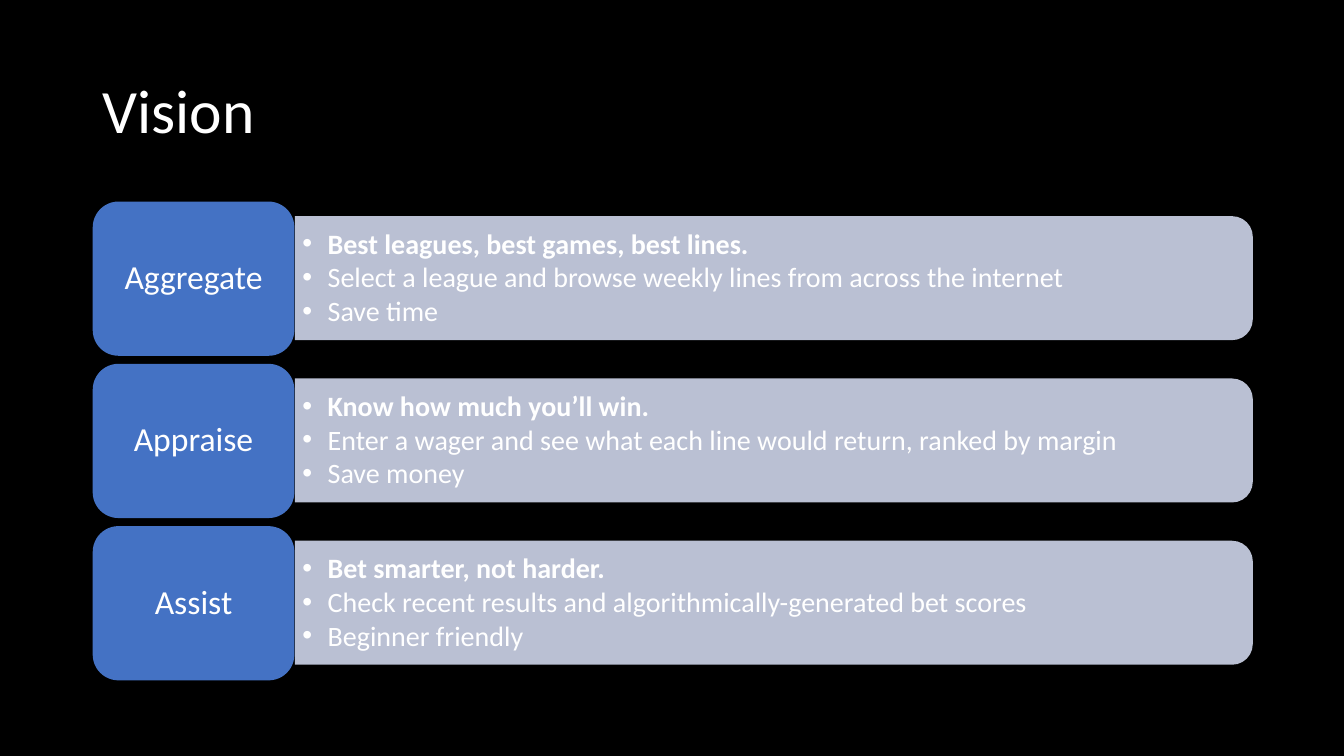
from dataclasses import dataclass

from lxml.etree import SubElement
from pptx import Presentation
from pptx.dml.color import RGBColor
from pptx.enum.shapes import MSO_SHAPE
from pptx.enum.text import MSO_ANCHOR, PP_ALIGN
from pptx.oxml.ns import qn
from pptx.shapes.autoshape import Shape
from pptx.slide import Slide
from pptx.util import Emu, Pt

EMU_PER_PX = 9144  # 100 px to the inch

BLACK = RGBColor(0x00, 0x00, 0x00)
WHITE = RGBColor(0xFF, 0xFF, 0xFF)
BLUE = RGBColor(0x44, 0x72, 0xC4)
PALE_BLUE = RGBColor(0xCF, 0xD5, 0xEA)
FONT = "Calibri"

LEFT = 92
FIRST_TOP, ROW_PITCH = 200, 161
TILE_WIDTH, TILE_HEIGHT = 200, 153
PANEL_LEFT = LEFT + TILE_WIDTH
PANEL_WIDTH, PANEL_HEIGHT = 950, 123
POINTS_WIDTH, POINTS_HEIGHT = 944, 111
BULLET_INDENT = 25


@dataclass(frozen=True)
class Goal:
    name: str
    slogan: str
    details: tuple[str, ...]


GOALS = (
    Goal("Aggregate", "Best leagues, best games, best lines.",
         ("Select a league and browse weekly lines from across the internet", "Save time")),
    Goal("Appraise", "Know how much you’ll win.",
         ("Enter a wager and see what each line would return, ranked by margin", "Save money")),
    Goal("Assist", "Bet smarter, not harder.",
         ("Check recent results and algorithmically-generated bet scores", "Beginner friendly")),
)


def px(length: int) -> Emu:
    return Emu(length * EMU_PER_PX)


def add_filled(slide: Slide, preset: MSO_SHAPE, left: int, top: int,
               width: int, height: int, color: RGBColor) -> Shape:
    shape = slide.shapes.add_shape(preset, px(left), px(top), px(width), px(height))
    shape.shadow.inherit = False
    shape.fill.solid()
    shape.fill.fore_color.rgb = color
    shape.line.fill.background()
    return shape


def add_text_box(slide: Slide, left: int, top: int, width: int, height: int) -> Shape:
    return slide.shapes.add_textbox(px(left), px(top), px(width), px(height))


def write(shape: Shape, *lines: str, size: int, align: PP_ALIGN = PP_ALIGN.LEFT,
          margins: tuple[int, int] = (10, 5), bulleted: bool = False,
          bold_first: bool = False, space_after: float = 0) -> None:
    """Fill the shape with one paragraph per line; margins are horizontal, vertical."""
    frame = shape.text_frame
    frame.word_wrap = True
    frame.vertical_anchor = MSO_ANCHOR.MIDDLE
    frame.margin_left = frame.margin_right = px(margins[0])
    frame.margin_top = frame.margin_bottom = px(margins[1])
    for index, line in enumerate(lines):
        paragraph = frame.add_paragraph() if index else frame.paragraphs[0]
        paragraph.alignment = align
        paragraph.line_spacing = 0.9
        paragraph.space_after = Pt(space_after)
        run = paragraph.add_run()
        run.text = line
        run.font.name = FONT
        run.font.size = Pt(size)
        run.font.color.rgb = WHITE
        run.font.bold = bold_first and index == 0
        if bulleted:
            properties = paragraph._p.get_or_add_pPr()
            properties.set("marL", str(px(BULLET_INDENT)))
            properties.set("indent", str(-px(BULLET_INDENT)))
            SubElement(properties, qn("a:buFont"), typeface="Arial")
            SubElement(properties, qn("a:buChar"), char="•")


def add_panel(slide: Slide, middle: float) -> None:
    """Turn a shape with two rounded top corners so that they face right."""
    center = PANEL_LEFT + PANEL_WIDTH // 2
    panel = add_filled(slide, MSO_SHAPE.ROUND_2_SAME_RECTANGLE,
                       center - PANEL_HEIGHT // 2, middle - PANEL_WIDTH // 2,
                       PANEL_HEIGHT, PANEL_WIDTH, PALE_BLUE)
    panel.rotation = 90
    color = panel._element.spPr.find(qn("a:solidFill"))[0]
    SubElement(color, qn("a:alpha"), val="90000")


def add_goal(slide: Slide, goal: Goal, top: int) -> None:
    middle = top + TILE_HEIGHT // 2
    add_panel(slide, middle)
    points = add_text_box(slide, PANEL_LEFT, middle - POINTS_HEIGHT // 2,
                          POINTS_WIDTH, POINTS_HEIGHT)
    write(points, goal.slogan, *goal.details, size=20, margins=(8, 4),
          bulleted=True, bold_first=True, space_after=2.5)
    tile = add_filled(slide, MSO_SHAPE.ROUNDED_RECTANGLE, LEFT, top,
                      TILE_WIDTH, TILE_HEIGHT, BLUE)
    write(tile, goal.name, size=24, align=PP_ALIGN.CENTER)


def main() -> None:
    presentation = Presentation()
    presentation.slide_width, presentation.slide_height = px(1333), px(750)
    slide = presentation.slides.add_slide(presentation.slide_layouts[6])
    slide.background.fill.solid()
    slide.background.fill.fore_color.rgb = BLACK

    write(add_text_box(slide, LEFT, 40, 1150, 145), "Vision", size=44)
    for row, goal in enumerate(GOALS):
        add_goal(slide, goal, FIRST_TOP + row * ROW_PITCH)
    presentation.save("out.pptx")


if __name__ == "__main__":
    main()
